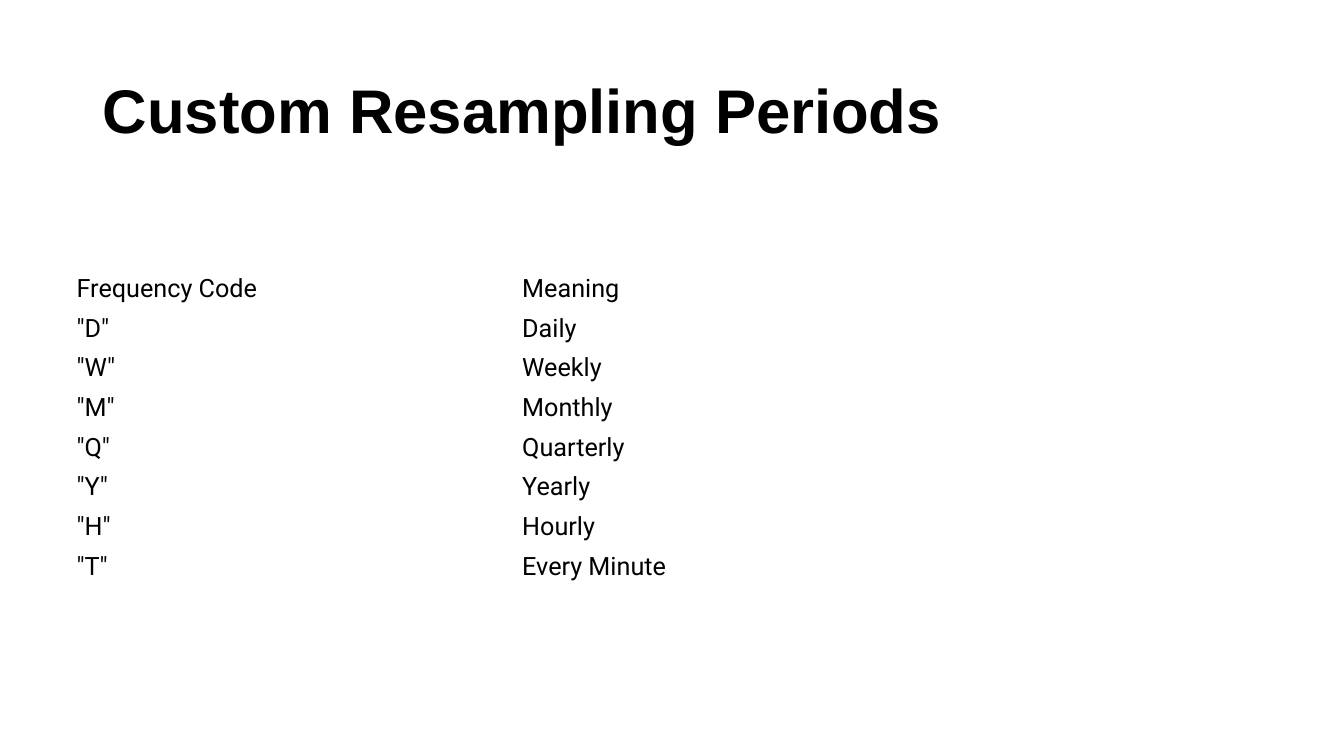
from pptx import Presentation
from pptx.dml.color import RGBColor
from pptx.enum.text import MSO_ANCHOR as Anchor
from pptx.util import Inches, Pt

# Content
TITLE = "Custom Resampling Periods"
ROWS = [
    ("Frequency Code", "Meaning"),
    ('"D"', "Daily"),
    ('"W"', "Weekly"),
    ('"M"', "Monthly"),
    ('"Q"', "Quarterly"),
    ('"Y"', "Yearly"),
    ('"H"', "Hourly"),
    ('"T"', "Every Minute"),
]
INK = "000000"

# Grid, in inches
WIDE, HIGH = 13.33, 7.5
LEFT, TOP = 0.66, 2.67
COL, ROW = 4.42, 0.39


def color(code):
    return RGBColor.from_string(code)


def style(frame, font, size, bold=False):
    frame.vertical_anchor = Anchor.MIDDLE
    for run in frame.paragraphs[0].runs:
        run.font.name = font
        run.font.size = Pt(size)
        run.font.bold = bold
        run.font.color.rgb = color(INK)


deck = Presentation()
deck.slide_width, deck.slide_height = Inches(WIDE), Inches(HIGH)
slide = deck.slides.add_slide(deck.slide_layouts.get_by_name("Title Only"))

# Title
title = slide.shapes.title
title.left, title.top = Inches(0.92), Inches(0.4)
title.width, title.height = Inches(11.5), Inches(1.45)
frame = title.text_frame
frame.text = TITLE
frame.word_wrap = True
line = frame.paragraphs[0]
line.alignment = 1  # left
line.line_spacing = 0.9
style(frame, "Arial", 44, bold=True)

# Table of frequency codes
count, cols = len(ROWS), len(ROWS[0])
table = slide.shapes.add_table(
    count, cols, Inches(LEFT), Inches(TOP),
    Inches(COL * cols), Inches(ROW * count)).table
table.first_row = False
table.horz_banding = False
for r, row in enumerate(ROWS):
    for c, text in enumerate(row):
        cell = table.cell(r, c)
        cell.fill.background()
        cell.vertical_anchor = Anchor.MIDDLE
        cell.text_frame.text = text
        style(cell.text_frame, "Roboto", 18)

deck.save("out.pptx")
